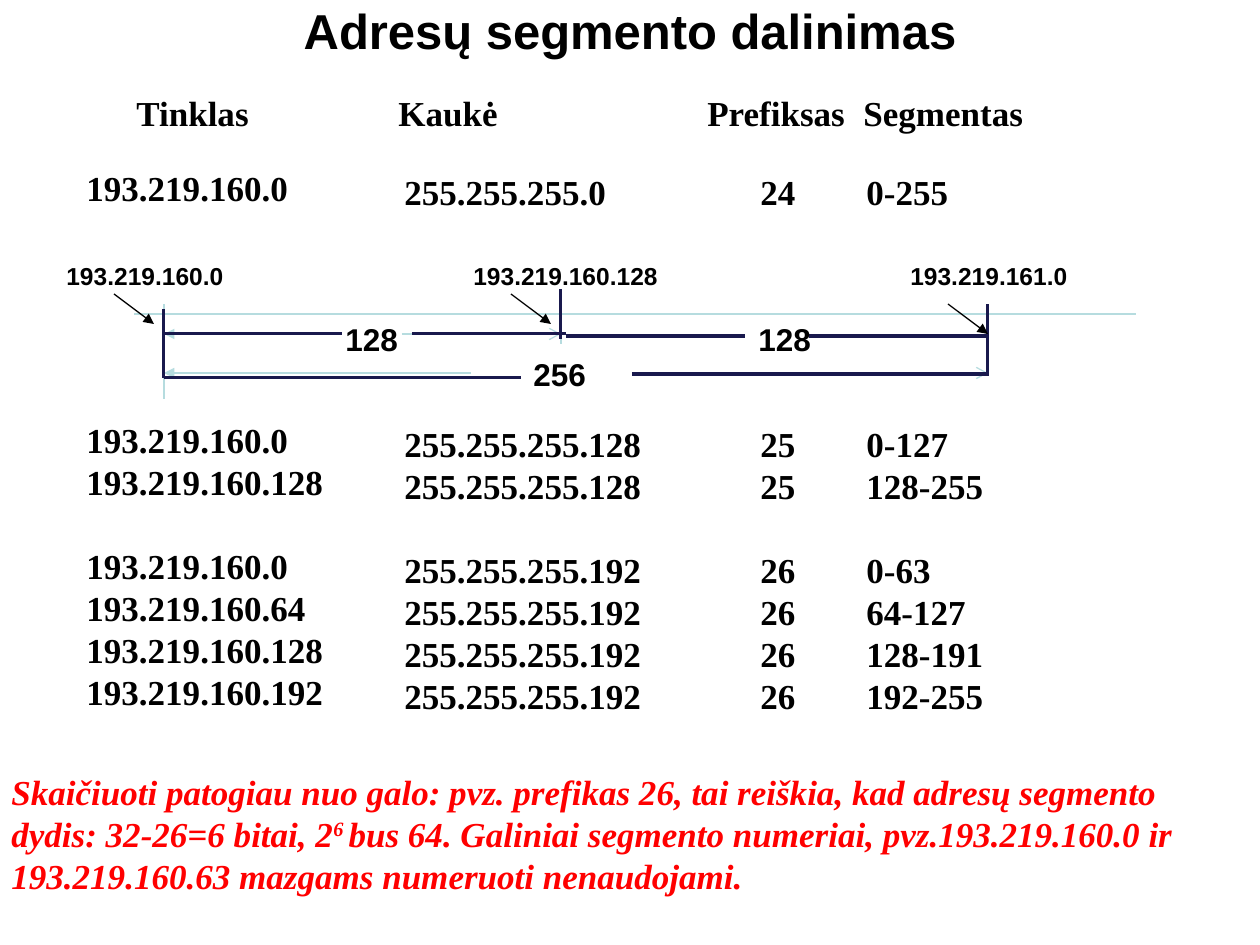
import pptx
import pptx.dml.color
import pptx.enum.shapes
import pptx.enum.text
import pptx.oxml
import pptx.oxml.ns
import pptx.util

PX = 914400 // 126
SERIF, SANS = "Times New Roman", "Arial"
BLACK, RED, NAVY, PALE = "000000", "FF0000", "19194D", "B6DCDF"
LINE_RATIO = 1.2

TITLE = "Adresų segmento dalinimas"
HEADINGS = ["Tinklas", "Kaukė", "Prefiksas", "Segmentas"]
HEADING_TABS = [262, 571, 727]

# Blank lines before the group, then its rows
GROUPS = [
    (0, [("193.219.160.0", "255.255.255.0", "24", "0-255")]),
    (5, [("193.219.160.0", "255.255.255.128", "25", "0-127"),
         ("193.219.160.128", "255.255.255.128", "25", "128-255")]),
    (1, [("193.219.160.0", "255.255.255.192", "26", "0-63"),
         ("193.219.160.64", "255.255.255.192", "26", "64-127"),
         ("193.219.160.128", "255.255.255.192", "26", "128-191"),
         ("193.219.160.192", "255.255.255.192", "26", "192-255")]),
]
# left, top, width
COLUMNS = [(74, 160, 264), (392, 164, 264), (748, 164, 63), (854, 164, 144)]

NOTE = [
    ["Skaičiuoti patogiau nuo galo: pvz. prefikas 26, tai reiškia, kad adresų segmento"],
    ["dydis: 32-26=6 bitai, 2", "6 ",
     "bus 64. Galiniai segmento numeriai, pvz.193.219.160.0 ir"],
    ["193.219.160.63 mazgams numeruoti nenaudojami."],
]

START, MIDDLE, END = 164, 561, 988
# text, left, width
ADDRESSES = [("193.219.160.0", 54, 188), ("193.219.160.128", 461, 216),
             ("193.219.161.0", 898, 188)]
# text, left, top
SIZES = [("256", 521, 349), ("128", 333, 314), ("128", 746, 314)]

# x1, y1, x2, y2, head, tail
PALE_LINES = [
    (134, 314, 1136, 314, None, None),
    (START, 399, START, 304, None, None),
    (MIDDLE, 344, MIDDLE, 304, None, None),
    (669, 373, END, 373, None, "arrow"),
    (402, 334, MIDDLE, 334, None, "arrow"),
    (START, 373, 471, 373, "triangle", None),
    (START, 334, 302, 334, "triangle", None),
]
NAVY_LINES = [
    (END, 373, END, 304), (START, 378, START, 309), (MIDDLE, 339, MIDDLE, 289),
    (START, 378, 521, 378), (632, 374, 989, 374),
    (START, 334, 342, 334), (412, 334, 566, 334),
    (566, 336, 745, 336), (809, 336, END, 336),
]
POINTERS = [(114, 294, 154, 324), (511, 294, 551, 324), (948, 304, 988, 334)]


def px(value):
    return value * PX


def color(value):
    return pptx.dml.color.RGBColor.from_string(value)


def write(para, text, size=20, font=SERIF, fill=BLACK, italic=False, raised=False):
    para.line_spacing = pptx.util.Pt(size * LINE_RATIO)
    span = para.add_run()
    span.text = text
    span.font.size = pptx.util.Pt(size)
    span.font.name = font
    span.font.bold = True
    span.font.italic = italic
    span.font.color.rgb = color(fill)
    if raised:
        span._r.get_or_add_rPr().set("baseline", "30000")


def add_box(page, left, top, width, height):
    box = page.shapes.add_textbox(px(left), px(top), px(width), px(height))
    box.text_frame.word_wrap = True
    return box.text_frame


def next_para(frame, index):
    return frame.add_paragraph() if index else frame.paragraphs[0]


def add_line(page, x1, y1, x2, y2, head=None, tail=None, fill=BLACK, width=0.75):
    line = page.shapes.add_connector(
        pptx.enum.shapes.MSO_CONNECTOR.STRAIGHT, px(x1), px(y1), px(x2), px(y2))
    line.line.color.rgb = color(fill)
    line.line.width = pptx.util.Pt(width)
    outline = line.line._get_or_add_ln()
    for tag, kind in (("a:headEnd", head), ("a:tailEnd", tail)):
        if kind:
            end = pptx.oxml.ns.qn(tag)
            outline.append(outline.makeelement(end, {"type": kind}))
    properties = line._element.spPr
    properties.append(properties.makeelement(pptx.oxml.ns.qn("a:effectLst"), {}))


def add_title(page):
    title = page.shapes.title
    title.left, title.top, title.width, title.height = 0, 0, px(1260), px(62)
    frame = title.text_frame
    frame.margin_left = frame.margin_right = px(1)
    frame.margin_top = frame.margin_bottom = px(1)
    frame.vertical_anchor = pptx.enum.text.MSO_ANCHOR.TOP
    frame.auto_size = pptx.enum.text.MSO_AUTO_SIZE.NONE
    para = frame.paragraphs[0]
    para.alignment = pptx.enum.text.PP_ALIGN.CENTER
    write(para, TITLE, size=28, font=SANS)


def add_headings(page):
    para = add_box(page, 124, 85, 920, 55).paragraphs[0]
    write(para, "\t".join(HEADINGS))
    stops = "".join(f'<a:tab pos="{px(stop)}" algn="l"/>' for stop in HEADING_TABS)
    para._p.get_or_add_pPr().append(pptx.oxml.parse_xml(
        f'<a:tabLst {pptx.oxml.ns.nsdecls("a")}>{stops}</a:tabLst>'))


def add_columns(page):
    for column, (left, top, width) in enumerate(COLUMNS):
        frame = add_box(page, left, top, width, 559)
        for group, (blank_lines, rows) in enumerate(GROUPS):
            for index, row in enumerate(rows):
                para = next_para(frame, group + index)
                write(para, row[column])
                if blank_lines and index == 0:
                    para.space_before = pptx.util.Pt(blank_lines * 20 * LINE_RATIO)


def add_note(page):
    frame = add_box(page, -1, 764, 1210, 139)
    for index, parts in enumerate(NOTE):
        para = next_para(frame, index)
        for place, text in enumerate(parts):
            write(para, text, fill=RED, italic=True, raised=place == 1)


def add_ruler(page):
    for line in PALE_LINES:
        add_line(page, *line, fill=PALE)
    for line in NAVY_LINES:
        add_line(page, *line, fill=NAVY, width=1.75)
    for text, left, width in ADDRESSES:
        write(add_box(page, left, 255, width, 43).paragraphs[0], text, size=14, font=SANS)
    for text, left, top in SIZES:
        write(add_box(page, left, top, 84, 50).paragraphs[0], text, size=18, font=SANS)
    for line in POINTERS:
        add_line(page, *line, tail="triangle")


def main():
    deck = pptx.Presentation()
    deck.slide_width, deck.slide_height = px(1260), px(945)
    page = deck.slides.add_slide(deck.slide_layouts[5])
    add_title(page)
    add_columns(page)
    add_headings(page)
    add_note(page)
    add_ruler(page)
    deck.save("out.pptx")


if __name__ == "__main__":
    main()
